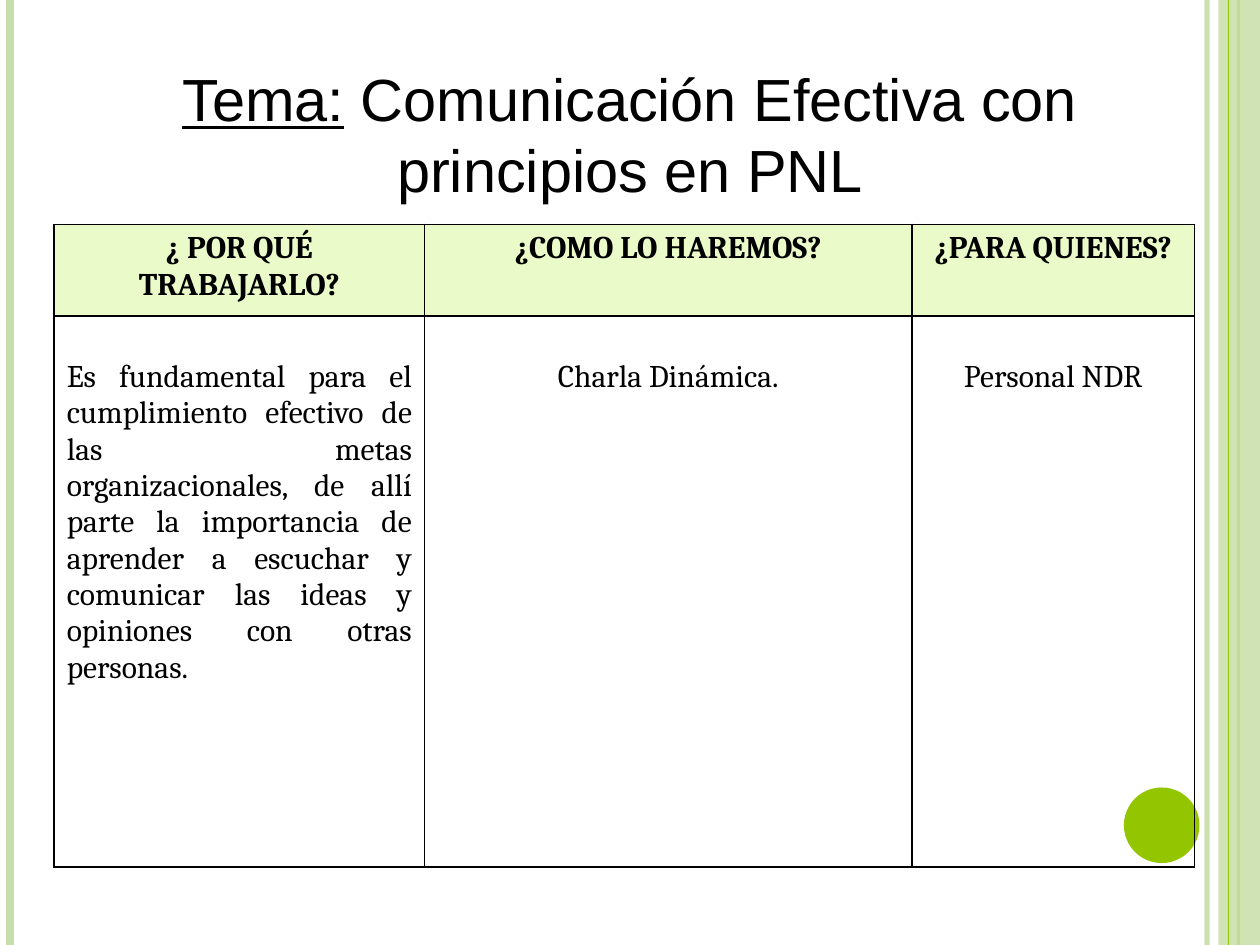
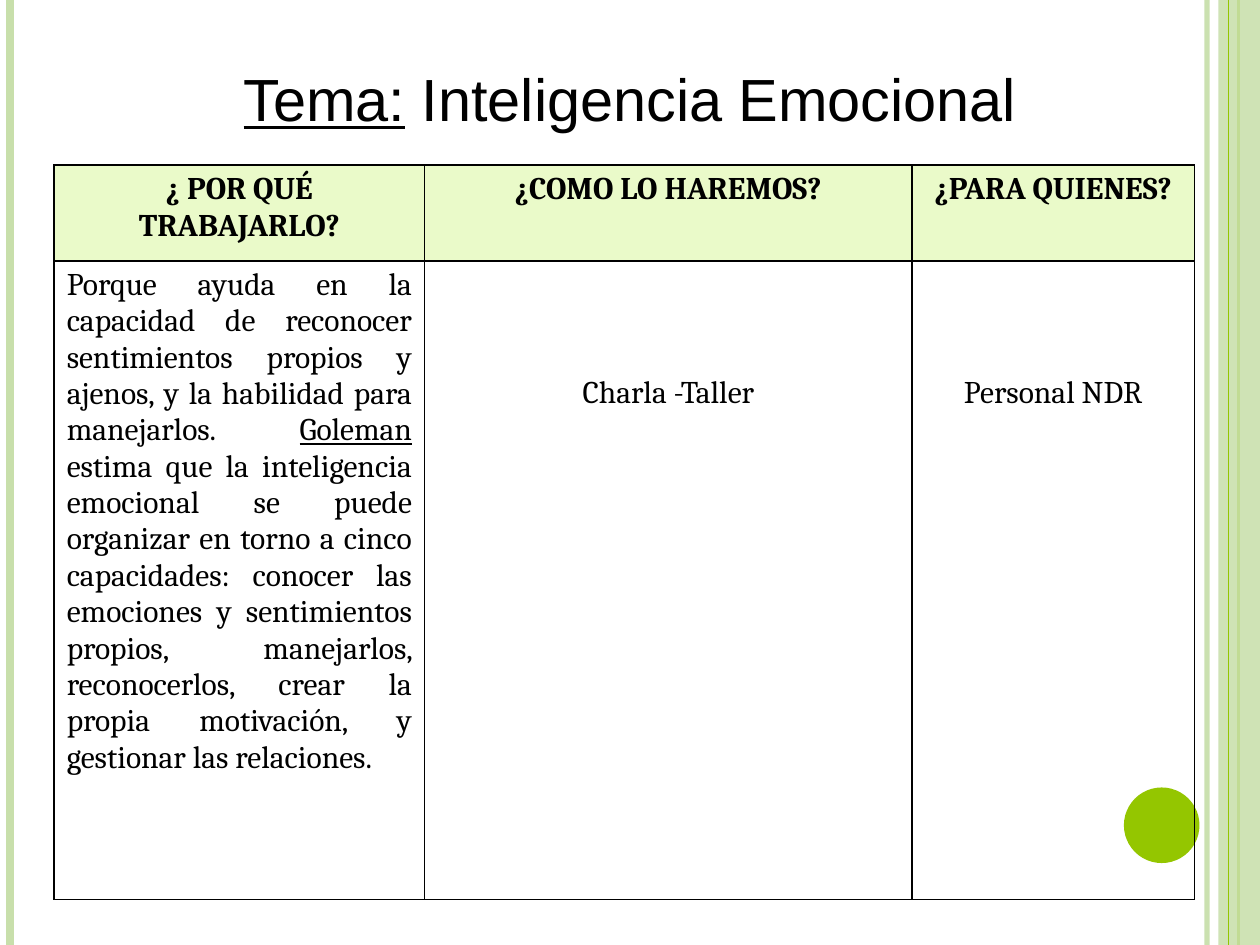
from dataclasses import dataclass
from pptx import Presentation
from pptx.dml.color import RGBColor as Color
from pptx.enum.shapes import MSO_CONNECTOR as Connector, MSO_SHAPE as Shape
from pptx.enum.text import MSO_ANCHOR as Anchor, MSO_AUTO_SIZE as AutoSize, PP_ALIGN as Align
from pptx.oxml.ns import qn
from pptx.oxml.xmlchemy import OxmlElement as new_element
from pptx.util import Inches, Pt


@dataclass(frozen=True)
class Theme:
    ink: str = "000000"
    green: str = "94C600"
    pale: str = "C8DFAB"
    header: str = "EAFAC9"
    title_font: str = "Arial"
    table_font: str = "Cambria"
    title_size: int = 34
    table_size: int = 18
    border: float = 1


THEME = Theme()
PAGE_WIDTH, PAGE_HEIGHT = 10, 7.5
COLUMNS = (2.94, 3.87, 2.24)
HEADINGS = ("¿ POR QUÉ TRABAJARLO?", "¿COMO LO HAREMOS?", "¿PARA QUIENES?")
AUDIENCE = "Personal NDR"
CELL_MARGIN = 0.05

TOPICS = [
    dict(
        title=" Comunicación Efectiva con principios en PNL",
        title_height=2.39,
        table_box=(0.43, 1.78),
        rows=(0.73, 4.37),
        reason=[("Es fundamental para el cumplimiento efectivo de las metas "
                 "organizacionales, de allí parte la importancia de aprender a escuchar "
                 "y comunicar las ideas y opiniones con otras personas.", False)],
        method="Charla Dinámica.",
        offsets=(0.34, 0.34, 0.34),
    ),
    dict(
        title=" Inteligencia Emocional",
        title_height=1.82,
        table_box=(0.43, 1.31),
        rows=(0.76, 5.07),
        reason=[("Porque ayuda en la capacidad de reconocer sentimientos propios y "
                 "ajenos, y la habilidad para manejarlos. ", False),
                ("Goleman", True),
                (" estima que la inteligencia emocional se puede organizar en torno a "
                 "cinco capacidades: conocer las emociones y sentimientos propios, "
                 "manejarlos, reconocerlos, crear la propia motivación, y gestionar las "
                 "relaciones.", False)],
        method="Charla -Taller",
        offsets=(CELL_MARGIN, 0.91, 0.91),
    ),
]


def add_text(para, text, font, size, bold=False, underline=False, color=THEME.ink):
    span = para.add_run()
    span.text = text
    span.font.name, span.font.size = font, Pt(size)
    span.font.bold, span.font.underline = bold, underline
    span.font.color.rgb = Color.from_string(color)


def set_opacity(shape, percent):
    for color in shape.element.spPr.iter(qn("a:srgbClr")):
        alpha = new_element("a:alpha")
        alpha.set("val", str(percent * 1000))
        color.append(alpha)


def add_rule(page, x, color, width, opacity=100):
    rule = page.shapes.add_connector(
        Connector.STRAIGHT, Inches(x), 0, Inches(x), Inches(PAGE_HEIGHT))
    rule.line.color.rgb = Color.from_string(color)
    rule.line.width = Pt(width)
    rule.element.spPr.append(new_element("a:effectLst"))
    if opacity < 100:
        set_opacity(rule, opacity)
    return rule


def add_solid(page, kind, box, color, opacity=100):
    solid = page.shapes.add_shape(kind, *map(Inches, box))
    solid.shadow.inherit = False
    solid.fill.solid()
    solid.fill.fore_color.rgb = Color.from_string(color)
    solid.line.fill.background()
    if opacity < 100:
        set_opacity(solid, opacity)
    return solid


def decorate_layout(layout, page):
    """Draw the side bands on a page, then move them to its layout."""
    parts = [
        add_rule(page, 9.58, THEME.pale, 3, opacity=93),
        add_rule(page, 0.08, THEME.pale, 4.5),
        add_rule(page, 9.83, THEME.green, 1.5),
        add_solid(page, Shape.RECTANGLE, (9.67, 0, 0.33, PAGE_HEIGHT), THEME.pale, opacity=87),
        add_rule(page, 9.75, THEME.green, 0.75),
        add_solid(page, Shape.OVAL, (8.92, 6.25, 0.6, 0.6), THEME.green),
    ]
    for number, part in enumerate(parts, start=100):
        part.element.xpath("./*[1]/p:cNvPr")[0].set("id", str(number))
        layout.shapes.element.append(part.element)


def fill_title(page, text, box):
    title = page.shapes.title
    title.left, title.top, title.width, title.height = map(Inches, box)
    frame = title.text_frame
    frame.word_wrap = True
    frame.auto_size = AutoSize.NONE
    frame.vertical_anchor = Anchor.TOP
    para = frame.paragraphs[0]
    para.alignment = Align.CENTER
    add_text(para, "Tema:", THEME.title_font, THEME.title_size, underline=True)
    add_text(para, text, THEME.title_font, THEME.title_size)


def set_borders(cell):
    properties = cell._tc.get_or_add_tcPr()
    for side in ("L", "R", "T", "B"):
        line = new_element(f"a:ln{side}")
        line.set("w", str(Pt(THEME.border)))
        fill = new_element("a:solidFill")
        color = new_element("a:srgbClr")
        color.set("val", THEME.ink)
        fill.append(color)
        line.append(fill)
        properties.append(line)


def fill_cell(cell, spans, align, bold=False, fill=None, top=CELL_MARGIN):
    set_borders(cell)
    if fill:
        cell.fill.solid()
        cell.fill.fore_color.rgb = Color.from_string(fill)
    else:
        cell.fill.background()
    cell.margin_top = Inches(top)
    para = cell.text_frame.paragraphs[0]
    para.alignment = align
    for text, underline in spans:
        add_text(para, text, THEME.table_font, THEME.table_size, bold, underline)


def add_topic_table(page, topic):
    left, top = topic["table_box"]
    rows = topic["rows"]
    box = (left, top, sum(COLUMNS), sum(rows))
    table = page.shapes.add_table(len(rows), len(COLUMNS), *map(Inches, box)).table
    table.horz_banding = False
    for column, width in zip(table.columns, COLUMNS):
        column.width = Inches(width)
    for row, height in zip(table.rows, rows):
        row.height = Inches(height)

    answers = (topic["reason"], [(topic["method"], False)], [(AUDIENCE, False)])
    aligns = (Align.JUSTIFY, Align.CENTER, Align.CENTER)
    for index, heading in enumerate(HEADINGS):
        fill_cell(table.cell(0, index), [(heading, False)], Align.CENTER,
                  bold=True, fill=THEME.header)
        fill_cell(table.cell(1, index), answers[index], aligns[index],
                  top=topic["offsets"][index])


def main():
    deck = Presentation()
    deck.slide_width, deck.slide_height = Inches(PAGE_WIDTH), Inches(PAGE_HEIGHT)
    layout = deck.slide_layouts[5]
    pages = [deck.slides.add_slide(layout) for _ in TOPICS]
    decorate_layout(layout, pages[0])
    for page, topic in zip(pages, TOPICS):
        fill_title(page, topic["title"], (0.67, 0.44, 8.66, topic["title_height"]))
        add_topic_table(page, topic)
    deck.save("out.pptx")


if __name__ == "__main__":
    main()
